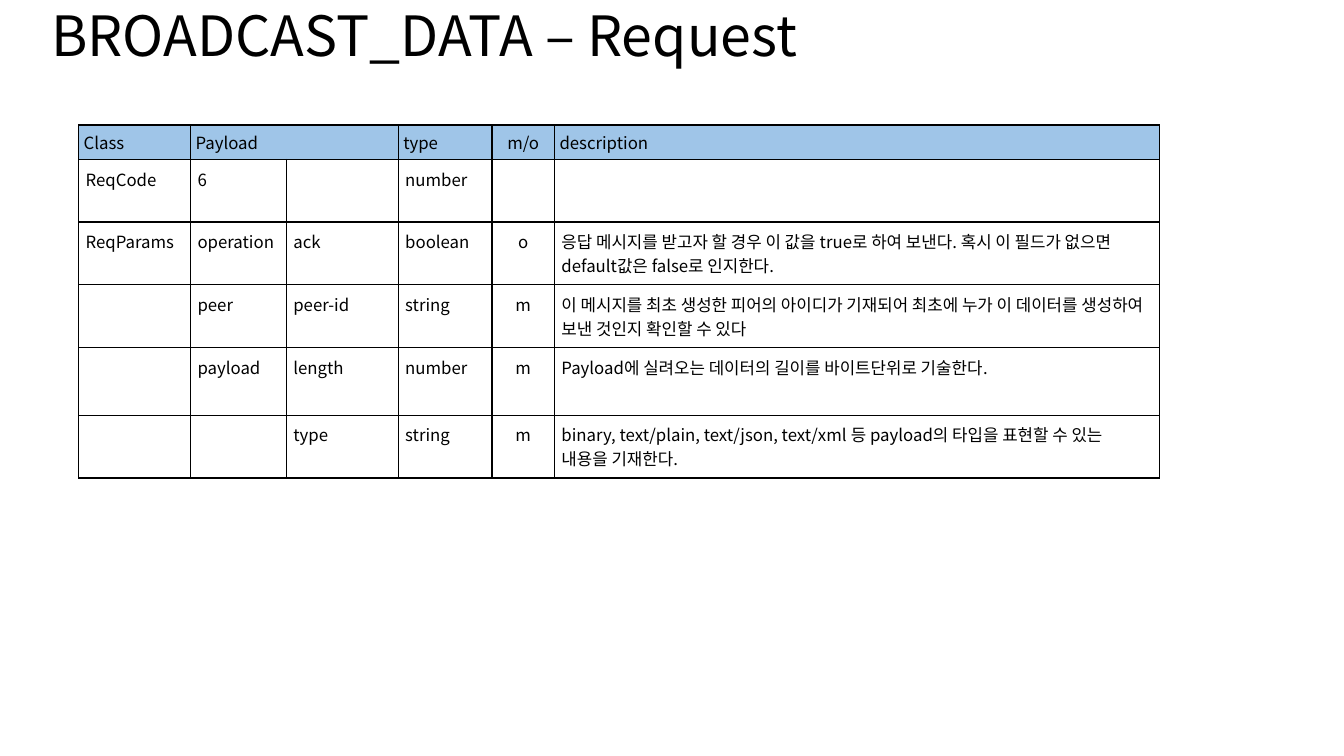
from dataclasses import dataclass

from lxml import etree
from pptx import Presentation
from pptx.dml.color import RGBColor
from pptx.enum.text import MSO_ANCHOR, MSO_AUTO_SIZE, PP_ALIGN
from pptx.oxml.ns import qn
from pptx.util import Inches, Pt

LEFT = PP_ALIGN.LEFT
CENTER = PP_ALIGN.CENTER
MIDDLE = MSO_ANCHOR.MIDDLE
NO_AUTOFIT = MSO_AUTO_SIZE.NONE
TITLE_ONLY = 5
FONT = "Noto Sans CJK KR"
COLORS = {"text": "000000", "border": "000000", "header": "9FC5E8"}


@dataclass(frozen=True)
class Column:
    heading: str
    width: float
    alignment: PP_ALIGN = LEFT


@dataclass(frozen=True)
class Field:
    height: float
    values: tuple[str, ...]


COLUMNS = (
    Column("Class", 1.11),
    Column("Payload", 0.95),
    Column("", 1.11),
    Column("type", 0.93),
    Column("m/o", 0.62, CENTER),
    Column("description", 6),
)
HEADER = Field(0.34, tuple(column.heading for column in COLUMNS))
FIELDS = (
    Field(0.62, ("ReqCode", "6", "", "number", "", "")),
    Field(0.62, ("ReqParams", "operation", "ack", "boolean", "o",
                 "응답 메시지를 받고자 할 경우 이 값을 true로 하여 보낸다. "
                 "혹시 이 필드가 없으면 default값은 false로 인지한다.")),
    Field(0.62, ("", "peer", "peer-id", "string", "m",
                 "이 메시지를 최초 생성한 피어의 아이디가 기재되어 최초에 누가 이 데이터를 "
                 "생성하여 보낸 것인지 확인할 수 있다")),
    Field(0.67, ("", "payload", "length", "number", "m",
                 "Payload에 실려오는 데이터의 길이를 바이트단위로 기술한다.")),
    Field(0.62, ("", "", "type", "string", "m",
                 "binary, text/plain, text/json, text/xml 등 payload의 타입을 "
                 "표현할 수 있는 내용을 기재한다.")),
)


def add_text(paragraph, text: str, size: float, alignment: PP_ALIGN) -> None:
    paragraph.alignment = alignment
    run = paragraph.add_run()
    run.text = text
    run.font.size = Pt(size)
    run.font.color.rgb = RGBColor.from_string(COLORS["text"])
    run.font.name = FONT
    latin = run.font._element.find(qn("a:latin"))
    east_asian = etree.Element(qn("a:ea"), typeface=FONT)
    latin.addnext(east_asian)


def add_borders(cell) -> None:
    properties = cell._tc.get_or_add_tcPr()
    for side in ("lnL", "lnR", "lnT", "lnB"):
        line = etree.SubElement(properties, qn(f"a:{side}"), w=str(Pt(1)))
        fill = etree.SubElement(line, qn("a:solidFill"))
        etree.SubElement(fill, qn("a:srgbClr"), val=COLORS["border"])


def add_title(slide) -> None:
    title = slide.shapes.title
    title.left, title.top = Inches(0.41), Inches(0.02)
    title.width, title.height = Inches(12.47), Inches(0.72)
    frame = title.text_frame
    frame.word_wrap = True
    frame.auto_size = NO_AUTOFIT
    frame.vertical_anchor = MIDDLE
    paragraph = frame.paragraphs[0]
    paragraph.line_spacing = 0.9
    add_text(paragraph, "BROADCAST_DATA – Request", 39.6, LEFT)


def fill_cell(cell, text: str, alignment: PP_ALIGN, is_header: bool) -> None:
    inset = Inches(0.05 if is_header else 0.07)
    cell.margin_left = cell.margin_right = inset
    cell.margin_top = cell.margin_bottom = inset
    add_borders(cell)
    if is_header:
        cell.fill.solid()
        cell.fill.fore_color.rgb = RGBColor.from_string(COLORS["header"])
    else:
        cell.fill.background()
    if text:
        add_text(cell.text_frame.paragraphs[0], text, 12, alignment)


def add_message_table(slide) -> None:
    rows = (HEADER, *FIELDS)
    width = sum(column.width for column in COLUMNS)
    height = sum(row.height for row in rows)
    table = slide.shapes.add_table(
        len(rows), len(COLUMNS),
        Inches(0.78), Inches(1.24), Inches(width), Inches(height),
    ).table
    table.first_row = False
    table.horz_banding = False
    for index, column in enumerate(COLUMNS):
        table.columns[index].width = Inches(column.width)
    for row_index, row in enumerate(rows):
        table.rows[row_index].height = Inches(row.height)
        for index, (column, value) in enumerate(zip(COLUMNS, row.values)):
            cell = table.cell(row_index, index)
            fill_cell(cell, value, column.alignment, row is HEADER)
    table.cell(0, 1).merge(table.cell(0, 2))


def main() -> None:
    presentation = Presentation()
    presentation.slide_width = Inches(13.33)
    presentation.slide_height = Inches(7.5)
    slide = presentation.slides.add_slide(presentation.slide_layouts[TITLE_ONLY])
    add_title(slide)
    add_message_table(slide)
    presentation.save("out.pptx")


if __name__ == "__main__":
    main()
